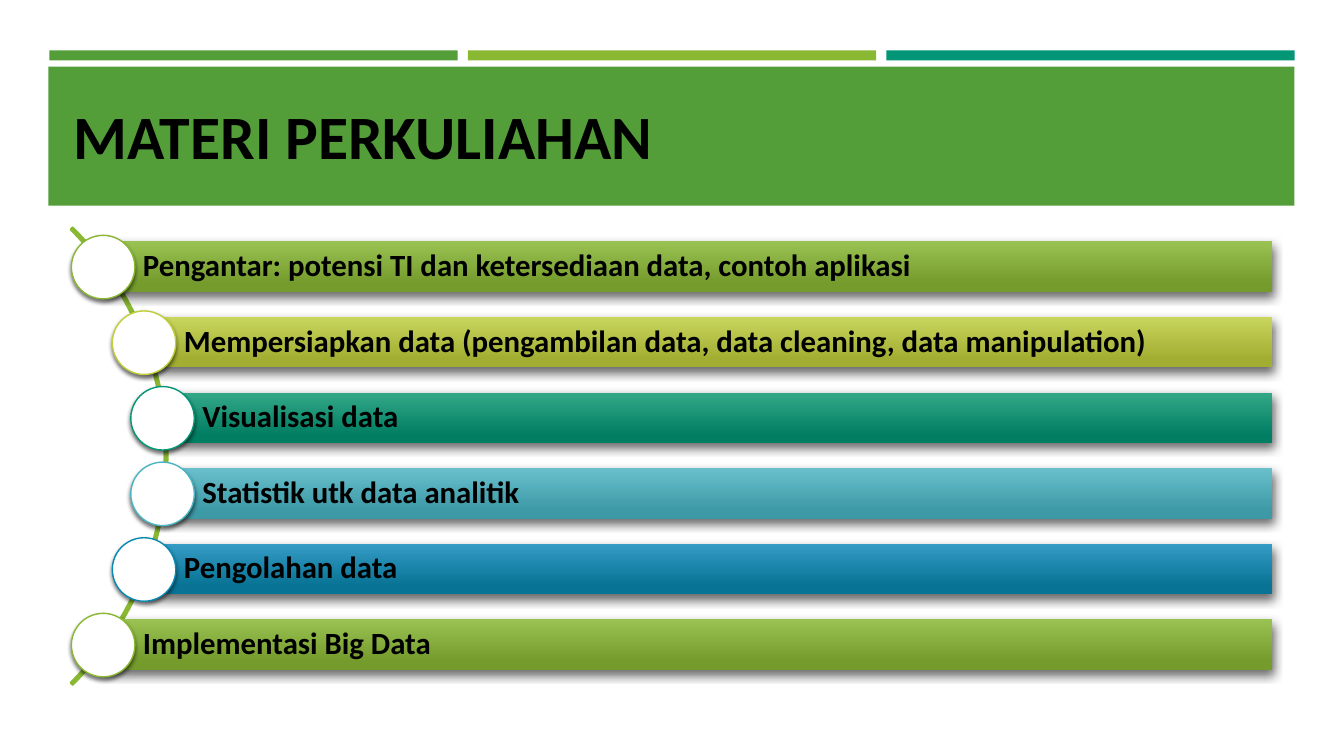
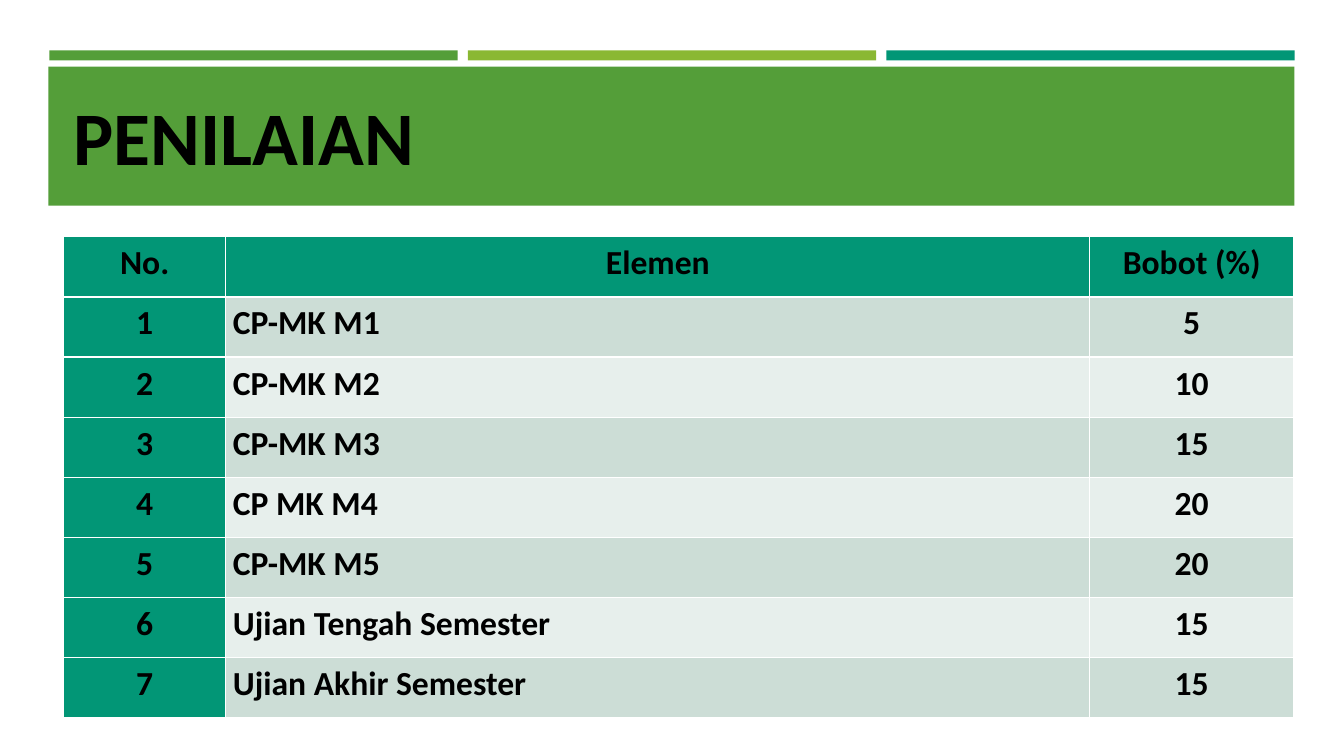
import math

from lxml import etree
from pptx import Presentation
from pptx.dml.color import RGBColor
from pptx.enum import shapes, text
from pptx.oxml import ns
from pptx.util import Inches, Pt

# Shared style
FONT = "Calibri"
BLACK = RGBColor(0x00, 0x00, 0x00)
WHITE = RGBColor(0xFF, 0xFF, 0xFF)
GREEN = RGBColor(0x54, 0x9E, 0x39)
LIME = RGBColor(0x8A, 0xB8, 0x33)
TEAL = RGBColor(0x02, 0x96, 0x76)
YELLOW = RGBColor(0xC0, 0xCF, 0x3A)
AQUA = RGBColor(0x4A, 0xB5, 0xC4)
BLUE = RGBColor(0x09, 0x89, 0xB1)
ROW_FILLS = (RGBColor(0xCC, 0xDD, 0xD6), RGBColor(0xE7, 0xEF, 0xEC))

# Gradient ends of a topic bar, by the outline colour of its circle
BAR_GRADIENTS = {
    LIME: (RGBColor(0x99, 0xC2, 0x53), RGBColor(0x74, 0x9B, 0x2B)),
    YELLOW: (RGBColor(0xC9, 0xD6, 0x5D), RGBColor(0xA1, 0xAE, 0x31)),
    TEAL: (RGBColor(0x33, 0xA8, 0x87), RGBColor(0x02, 0x7E, 0x63)),
    AQUA: (RGBColor(0x69, 0xC0, 0xCC), RGBColor(0x3D, 0x99, 0xA6)),
    BLUE: (RGBColor(0x34, 0x9B, 0xC5), RGBColor(0x08, 0x73, 0x95)),
}

# Content
TOPICS = [
    ("Pengantar: potensi TI dan ketersediaan data, contoh aplikasi", LIME),
    ("Mempersiapkan data (pengambilan data, data cleaning, data manipulation)", YELLOW),
    ("Visualisasi data", TEAL),
    ("Statistik utk data analitik", AQUA),
    ("Pengolahan data", BLUE),
    ("Implementasi Big Data", LIME),
]
GRADING = [
    ("No.", "Elemen", "Bobot (%)"),
    ("1", "CP-MK M1", "5"),
    ("2", "CP-MK M2", "10"),
    ("3", "CP-MK M3", "15"),
    ("4", "CP MK M4", "20"),
    ("5", "CP-MK M5", "20"),
    ("6", "Ujian Tengah Semester", "15"),
    ("7", "Ujian Akhir Semester", "15"),
]


def write(frame, words, size, align=text.PP_ALIGN.LEFT):
    """Put one bold black run in the frame and return its paragraph."""
    para = frame.paragraphs[0]
    para.alignment = align
    span = para.add_run()
    span.text = words
    span.font.name = FONT
    span.font.size = Pt(size)
    span.font.bold = True
    span.font.color.rgb = BLACK
    return para


def add_shape(page, kind, left, top, width, height, fill=None, line=None, weight=1):
    shape = page.shapes.add_shape(
        kind, Inches(left), Inches(top), Inches(width), Inches(height))
    shape.shadow.inherit = False
    if fill is None:
        shape.fill.background()
    else:
        shape.fill.solid()
        shape.fill.fore_color.rgb = fill
    if line is None:
        shape.line.fill.background()
    else:
        shape.line.color.rgb = line
        shape.line.width = Pt(weight)
    return shape


def add_shadow(shape, opacity, blur, distance, angle):
    effects = shape._element.spPr.find(ns.qn("a:effectLst"))
    shadow = etree.SubElement(
        effects, ns.qn("a:outerShdw"), blurRad=str(Pt(blur)), dist=str(Pt(distance)),
        dir=str(angle * 60000), algn="ctr", rotWithShape="0")
    color = etree.SubElement(shadow, ns.qn("a:srgbClr"), val=str(BLACK))
    etree.SubElement(color, ns.qn("a:alpha"), val=str(opacity * 1000))


def add_page(deck, layout, title, size):
    page = deck.slides.add_slide(layout)
    write(page.shapes.title.text_frame, title, size)
    return page


def style_layout(layout, page):
    """Place the title and move the bands, drawn on the page, to its layout."""
    title = layout.placeholders[0]
    title.left, title.top = Inches(0.63), Inches(0.8)
    title.width, title.height = Inches(12.06), Inches(1.08)
    title.text_frame.vertical_anchor = text.MSO_ANCHOR.MIDDLE

    rectangle = shapes.MSO_SHAPE.RECTANGLE
    bands = [add_shape(page, rectangle, 0.49 + 4.15 * index, 0.5, 4.05, 0.1, color)
             for index, color in enumerate((GREEN, LIME, TEAL))]
    bands.append(add_shape(page, rectangle, 0.48, 0.66, 12.36, 1.38, GREEN))
    for index, band in enumerate(bands):
        band._element.nvSpPr.cNvPr.set("id", str(20 + index))
        layout.shapes._spTree.insert(2 + index, band._element)


def add_topic(page, words, color, center_x, center_y):
    """Draw a gradient bar that starts behind a white circle."""
    bar = add_shape(page, shapes.MSO_SHAPE.RECTANGLE,
                    center_x, center_y - 0.25, 12.62 - center_x, 0.5, color)
    bar.fill.gradient()
    bar.fill.gradient_angle = 270
    stops = bar.fill.gradient_stops
    for stop, position, shade in zip(stops, (0, 0.84), BAR_GRADIENTS[color]):
        stop.position = position
        stop.color.rgb = shade
    add_shadow(bar, 60, 7, 3, 84)

    frame = bar.text_frame
    frame.word_wrap = True
    frame.vertical_anchor = text.MSO_ANCHOR.MIDDLE
    frame.margin_left = Inches(0.4)
    frame.margin_top = frame.margin_right = frame.margin_bottom = Inches(0.06)
    write(frame, words, 22).line_spacing = 0.9

    circle = add_shape(page, shapes.MSO_SHAPE.OVAL, center_x - 0.31,
                       center_y - 0.31, 0.63, 0.63, WHITE, color)
    add_shadow(circle, 55, 3, 2, 90)


def add_topic_list(page):
    """Set the topics at equal heights along an arc."""
    arc_x, arc_y, radius, pitch = -1.55, 4.52, 3.18, 0.75
    arc = add_shape(page, shapes.MSO_SHAPE.BLOCK_ARC, -4.75, 1.32, 6.41, 6.41,
                    line=LIME, weight=1.75)
    for index, value in enumerate((189, 27, 0.004)):
        arc.adjustments[index] = value
    for index, (words, color) in enumerate(TOPICS):
        rise = (index - (len(TOPICS) - 1) / 2) * pitch
        add_topic(page, words, color,
                  arc_x + math.sqrt(radius ** 2 - rise ** 2), arc_y + rise)


def add_grading_table(page):
    widths = (1.61, 8.57, 2.02)
    table = page.shapes.add_table(
        len(GRADING), len(widths), Inches(0.63), Inches(2.35),
        Inches(sum(widths)), Inches(4.77)).table
    table.first_col = True
    for column, width in zip(table.columns, widths):
        column.width = Inches(width)
    for row, values in enumerate(GRADING):
        for column, words in enumerate(values):
            cell = table.cell(row, column)
            heading = row == 0 or column == 0
            cell.fill.solid()
            cell.fill.fore_color.rgb = TEAL if heading else ROW_FILLS[(row - 1) % 2]
            cell.margin_left = cell.margin_right = Inches(0.07)
            cell.margin_top = cell.margin_bottom = 0
            centered = heading or column == 2
            align = text.PP_ALIGN.CENTER if centered else text.PP_ALIGN.LEFT
            write(cell.text_frame, words, 24, align).line_spacing = 1.15


def main():
    deck = Presentation()
    deck.slide_width, deck.slide_height = Inches(13.33), Inches(7.5)
    layout = deck.slide_layouts.get_by_name("Title Only")

    # Course topics
    topics = add_page(deck, layout, "MATERI PERKULIAHAN", 44)
    style_layout(layout, topics)
    add_topic_list(topics)

    # Grading
    grading = add_page(deck, layout, "PENILAIAN", 54)
    add_grading_table(grading)

    deck.save("out.pptx")


if __name__ == "__main__":
    main()
